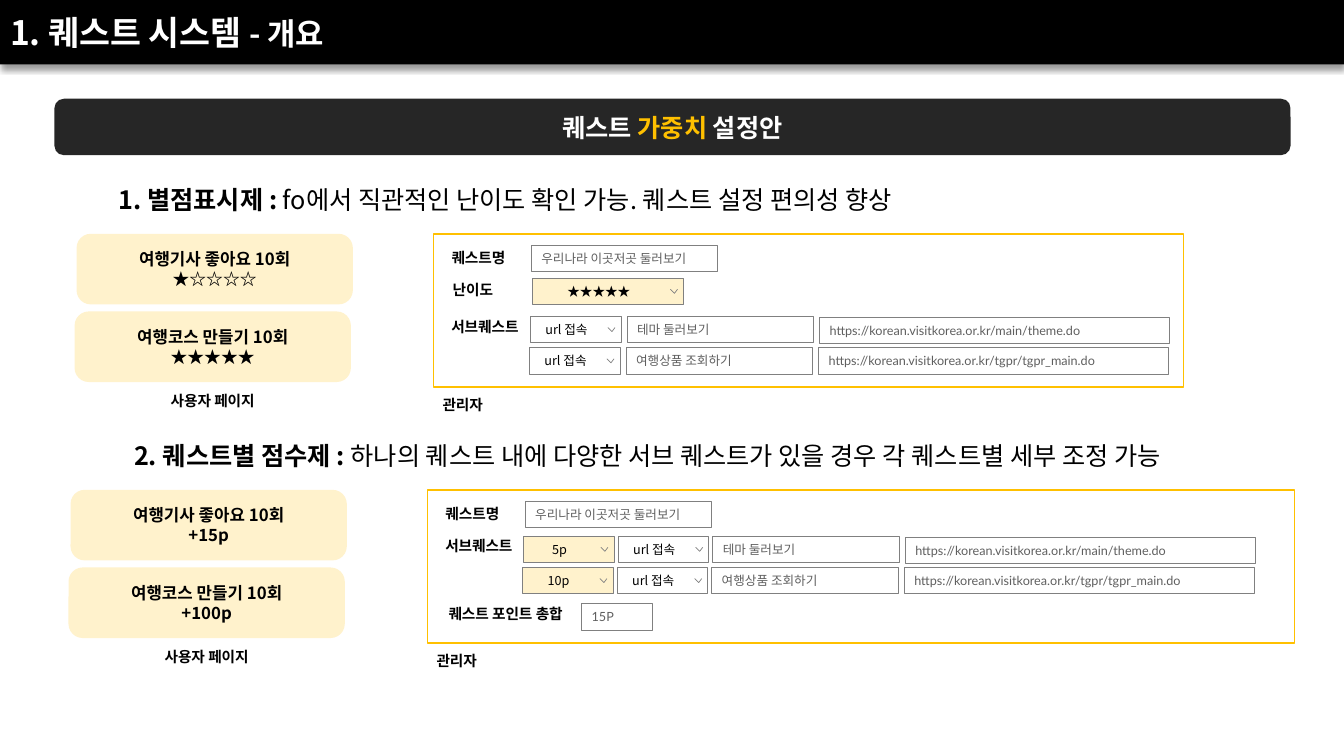
from lxml.etree import SubElement
from pptx import Presentation
from pptx.dml.color import RGBColor
from pptx.enum.shapes import MSO_SHAPE
from pptx.enum.text import MSO_ANCHOR, MSO_AUTO_SIZE, PP_ALIGN
from pptx.oxml.ns import qn
from pptx.util import Pt

PX = 9144  # 100 px to the inch
KOREAN, LATIN = "Noto Sans CJK KR", "Lato"
COLORS = {
    "black": "000000", "white": "FFFFFF", "banner": "262626", "accent": "FFC000",
    "cream": "FFF2CC", "border": "808080", "hint": "5F5F5F",
}
FIELD_HEIGHT = 26
SELECT_WIDTH = 90
SUBQUESTS = [
    ("테마 둘러보기", "https://korean.visitkorea.or.kr/main/theme.do"),
    ("여행상품 조회하기", "https://korean.visitkorea.or.kr/tgpr/tgpr_main.do"),
]


def color(name):
    return RGBColor.from_string(COLORS[name])


def px(*lengths):
    return [length * PX for length in lengths]


def write_text(shape, *paragraphs, size, font=KOREAN, ink="black", bold=False,
               align=PP_ALIGN.CENTER, anchor=MSO_ANCHOR.MIDDLE, wrap=True,
               grow=False, insets=(10, 5, 10, 5)):
    """Each paragraph is a string or a list of (text, run format) pairs."""
    frame = shape.text_frame
    frame.word_wrap = wrap
    frame.auto_size = MSO_AUTO_SIZE.SHAPE_TO_FIT_TEXT if grow else MSO_AUTO_SIZE.NONE
    frame.vertical_anchor = anchor
    (frame.margin_left, frame.margin_top,
     frame.margin_right, frame.margin_bottom) = px(*insets)
    for index, content in enumerate(paragraphs):
        paragraph = frame.add_paragraph() if index else frame.paragraphs[0]
        paragraph.alignment = align
        runs = [(content, {})] if isinstance(content, str) else content
        for words, changes in runs:
            run = paragraph.add_run()
            run.text = words
            run.font.size = Pt(changes.get("size", size))
            run.font.bold = changes.get("bold", bold)
            run.font.color.rgb = color(changes.get("ink", ink))
            run.font.name = font
            SubElement(run.font._element, qn("a:ea"), typeface=KOREAN)


def paint(shape, fill=None, line=None, weight=0.5):
    shape.shadow.inherit = False
    if fill:
        shape.fill.solid()
        shape.fill.fore_color.rgb = color(fill)
    else:
        shape.fill.background()
    if line:
        shape.line.color.rgb = color(line)
        shape.line.width = Pt(weight)
    else:
        shape.line.fill.background()


def add_box(shapes, bounds, kind=MSO_SHAPE.RECTANGLE, **look):
    box = shapes.add_shape(kind, *px(*bounds))
    paint(box, **look)
    return box


def add_label(shapes, bounds, content, size=10.5):
    label = shapes.add_textbox(*px(*bounds))
    write_text(label, content, size=size, bold=True, anchor=MSO_ANCHOR.TOP,
               wrap=False, grow=True)


def add_card(shapes, left, top, task, reward):
    card = add_box(shapes, (left, top, 274, 70), MSO_SHAPE.ROUNDED_RECTANGLE, fill="cream")
    card.adjustments[0] = 0.2
    write_text(card, task, reward, size=12, bold=True)


def add_input(shapes, left, top, width, hint):
    field = add_box(shapes, (left, top, width, FIELD_HEIGHT), fill="white", line="border")
    write_text(field, hint, size=9, font=LATIN, ink="hint", align=PP_ALIGN.LEFT,
               grow=True, insets=(10, 6, 10, 6))


def add_select(shapes, left, top, choice, width=SELECT_WIDTH, fill="white", bold=False):
    select = shapes.add_group_shape().shapes
    field = add_box(select, (left, top, width, FIELD_HEIGHT), fill=fill, line="border")
    write_text(field, choice, size=9, bold=bold, grow=True, insets=(10, 6, 28, 6))
    tip_left, tip_top = left + width - 13, top + 11
    outline = select.build_freeform(tip_left + 7, tip_top, scale=PX)
    outline.add_line_segments([(tip_left + 4, tip_top + 4), (tip_left, tip_top)], close=False)
    paint(outline.convert_to_shape(), fill=fill, line="border")


def add_subquest_rows(shapes, select_left, input_left, top):
    for row, (name, url) in enumerate(SUBQUESTS):
        row_top = top + 31 * row
        add_select(shapes, select_left - row, row_top, "url 접속")
        add_input(shapes, input_left - row, row_top, 185, name)
        add_input(shapes, input_left + 191 - row, row_top + 1 - row, 347, url)


def add_section(shapes, left, top, rewards, admin_width, subquest_top):
    """User cards at the left, frame and shared rows of the admin form at the right."""
    tasks = ["여행기사 좋아요 10회", "여행코스 만들기 10회"]
    for row, (task, reward) in enumerate(zip(tasks, rewards)):
        add_card(shapes, left - 2 * row, top + 77 * row, task, reward)
    add_label(shapes, (left + 78, top + 152, 114, 28), "사용자 페이지")
    add_label(shapes, (left + 359, top + 10, 79, 28), "퀘스트명")
    add_input(shapes, left + 451, top + 11, 185, "우리나라 이곳저곳 둘러보기")
    add_label(shapes, (left + 358, subquest_top, 94, 28), "서브퀘스트")
    add_box(shapes, (left + 354, top, admin_width, 152), line="accent", weight=1)
    add_label(shapes, (left + 351, top + 156, 64, 28), "관리자")


def add_header(slide):
    header = add_box(slide.shapes, (0, 0, 1333, 64), fill="black")
    effects = header._element.spPr.find(qn("a:effectLst"))
    shadow = SubElement(effects, qn("a:outerShdw"), blurRad=str(Pt(4)), dist=str(Pt(3)),
                        dir="5400000", algn="t", rotWithShape="0")
    shade = SubElement(shadow, qn("a:srgbClr"), val=COLORS["black"])
    SubElement(shade, qn("a:alpha"), val="40000")
    title = slide.shapes.title
    title.left, title.top, title.width, title.height = px(0, 0, 510, 64)
    write_text(title, [("1. 퀘스트 시스템 ", {}), ("- 개요", {"size": 22})],
               size=24, ink="white", bold=True, align=PP_ALIGN.LEFT)
    slide.shapes._spTree.append(title._element)  # title in front of the bar


def main():
    deck = Presentation()
    deck.slide_width, deck.slide_height = px(1333, 750)
    slide = deck.slides.add_slide(deck.slide_layouts[5])
    shapes = slide.shapes

    # Header and banner
    add_header(slide)
    banner = add_box(shapes, (54, 98, 1226, 56), MSO_SHAPE.ROUNDED_RECTANGLE, fill="banner")
    write_text(banner, [("퀘스트 ", {}), ("가중치 ", {"ink": "accent"}), ("설정안", {})],
               size=18, ink="white", bold=True)

    # Star rating
    add_label(shapes, (60, 178, 882, 40), [
        ("1. 별점표시제 : ", {}),
        ("fo에서 직관적인 난이도 확인 가능. 퀘스트 설정 편의성 향상", {"bold": False})], size=18)
    add_section(shapes, 76, 232, ["★☆☆☆☆", "★★★★★"], admin_width=744, subquest_top=310)
    add_label(shapes, (437, 274, 64, 28), "난이도")
    add_select(shapes, 528, 276, "★★★★★", width=150, fill="cream", bold=True)
    add_subquest_rows(shapes, 526, 622, 314)

    # Points per quest
    add_label(shapes, (54, 432, 1176, 40), [
        ("2. 퀘스트별 점수제 : ", {}),
        ("하나의 퀘스트 내에 다양한 서브 퀘스트가 있을 경우 각 퀘스트별 세부 조정 가능",
         {"bold": False})], size=18)
    add_section(shapes, 70, 486, ["+15p", "+100p"], admin_width=860, subquest_top=528)
    add_subquest_rows(shapes, 613, 707, 532)
    for row, points in enumerate(["5p", "10p"]):
        add_select(shapes, 519 - row, 532 + 31 * row, points, fill="cream")
    add_label(shapes, (427, 595, 149, 28), "퀘스트 포인트 총합")
    add_input(shapes, 577, 599, 70, "15P")

    deck.save("out.pptx")


if __name__ == "__main__":
    main()
